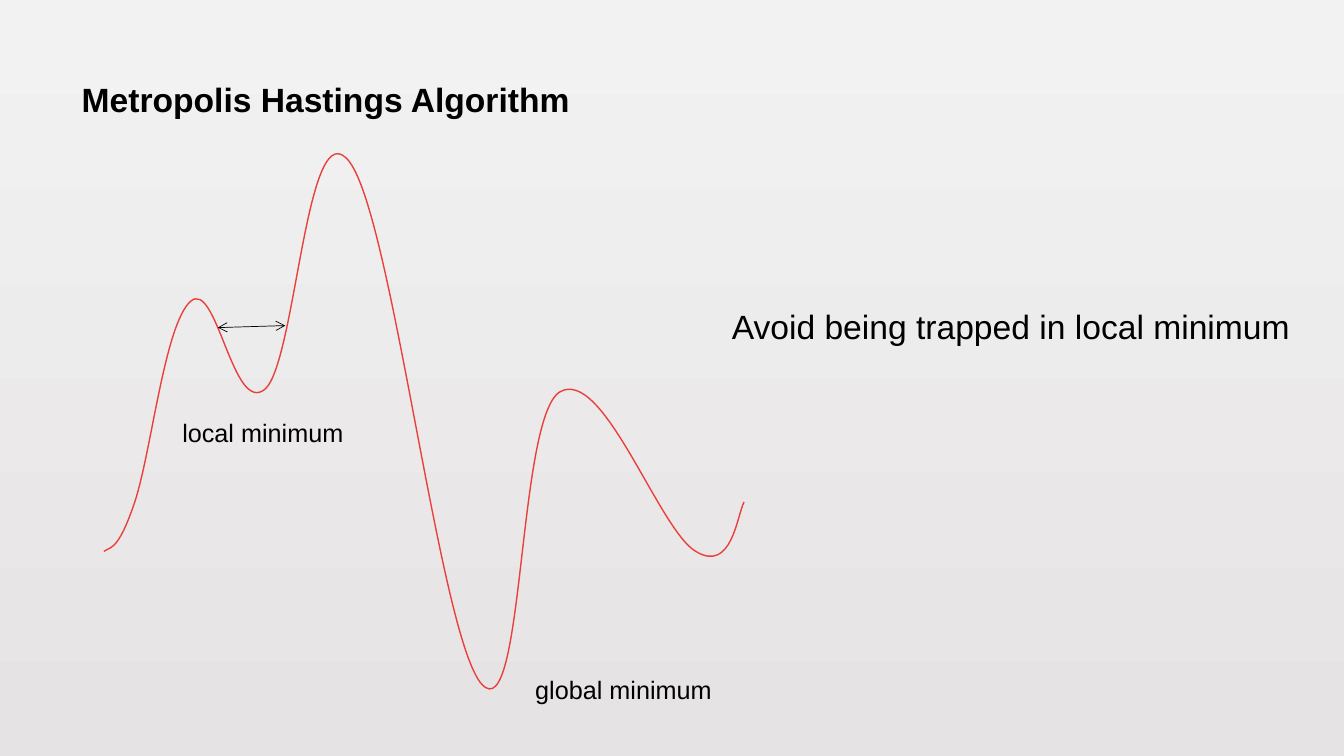
from lxml import etree
from pptx import Presentation
from pptx.dml.color import RGBColor as Rgb
from pptx.enum.shapes import MSO_CONNECTOR as Link
from pptx.enum.text import (MSO_ANCHOR as Anchor, MSO_AUTO_SIZE as Auto,
                            PP_ALIGN as Align)
from pptx.oxml.ns import qn
from pptx.util import Inches, Pt

TITLE = "Metropolis Hastings Algorithm"
LABELS = [  # text, size, left, top, width, height
    ("local minimum", 18, 1.71, 4.09, 1.8, 0.4),
    ("global minimum", 18, 5.21, 6.64, 1.95, 0.4),
    ("Avoid being trapped in local minimum", 24, 7.16, 2.99, 5.76, 0.5),
]
BOX = (1.03, 1.53, 6.35, 5.31)
START = (1.03, 5.47)
CURVES = [  # two control points and an end point for each part
    ((1.08, 5.42), (1.16, 5.5), (1.33, 5)),
    ((1.5, 4.51), (1.63, 3.22), (1.89, 2.99)),
    ((2.15, 2.76), (2.31, 4.13), (2.63, 3.86)),
    ((2.94, 3.58), (3.04, 1.03), (3.47, 1.61)),
    ((3.9, 2.2), (4.36, 6.33), (4.78, 6.79)),
    ((5.2, 7.24), (5.13, 4.16), (5.55, 3.89)),
    ((5.98, 3.63), (6.53, 5.25), (6.9, 5.47)),
    ((7.26, 5.69), (7.31, 5.11), (7.38, 4.98)),
]
ARROW = (2.16, 3.25, 2.83, 3.23)
SKY = ("F2F2F2", "E5E3E4")
RED, BLACK = "E9403C", "000000"


def color(code):
    return Rgb.from_string(code)


def write(frame, text, size, bold=False):
    para = frame.paragraphs[0]
    para.text = text
    look = {"name": "Arial", "size": Pt(size), "bold": bold}
    for key, value in look.items():
        setattr(para.font, key, value)
    para.font.color.rgb = color(BLACK)
    return para


def place(shape, *box):
    for key, value in zip(("left", "top", "width", "height"), box):
        setattr(shape, key, Inches(value))


def bend(shape, box, start, curves):
    """Give a freeform a chain of cubic curves as its outline."""
    left, top, width, height = box
    place(shape, *box)
    track = next(shape.element.iter(qn("a:path")))
    for part in list(track):
        track.remove(part)
    track.set("w", str(Inches(width)))
    track.set("h", str(Inches(height)))
    for tag, points in [("a:moveTo", [start])] + [
            ("a:cubicBezTo", curve) for curve in curves]:
        part = etree.SubElement(track, qn(tag))
        for x, y in points:
            etree.SubElement(part, qn("a:pt"), x=str(Inches(x - left)),
                             y=str(Inches(y - top)))


def main():
    deck = Presentation()
    deck.slide_width, deck.slide_height = Inches(13.33), Inches(7.5)
    slide = deck.slides.add_slide(deck.slide_layouts[5])
    shapes = slide.shapes

    fill = slide.background.fill
    fill.gradient()
    fill.gradient_angle = 270
    for spot, (stop, code) in enumerate(zip(fill.gradient_stops, SKY)):
        stop.color.rgb = color(code)
        stop.position = spot

    title = shapes.title
    place(title, 0.71, 0.28, 11.5, 1.45)
    title.text_frame.vertical_anchor = Anchor.MIDDLE
    para = write(title.text_frame, TITLE, 24, True)
    para.alignment = Align.LEFT
    para.line_spacing = 0.9

    pen = shapes.build_freeform(*START, scale=Inches(1))
    pen.add_line_segments([curve[-1] for curve in CURVES], close=False)
    wave = pen.convert_to_shape()
    bend(wave, BOX, START, CURVES)
    wave.shadow.inherit = False
    wave.fill.background()
    wave.line.color.rgb = color(RED)
    wave.line.width = Pt(1)

    arrow = shapes.add_connector(Link.STRAIGHT, *map(Inches, ARROW))
    arrow.line.color.rgb = color(BLACK)
    arrow.line.width = Pt(0.5)
    props = arrow.element.spPr
    ln = props.find(qn("a:ln"))
    for end in ("a:headEnd", "a:tailEnd"):
        etree.SubElement(ln, qn(end), type="arrow")
    etree.SubElement(props, qn("a:effectLst"))

    for text, size, *box in LABELS:
        label = shapes.add_textbox(*map(Inches, box))
        frame = label.text_frame
        frame.word_wrap = False
        frame.auto_size = Auto.SHAPE_TO_FIT_TEXT
        write(frame, text, size)

    deck.save("out.pptx")


if __name__ == "__main__":
    main()
